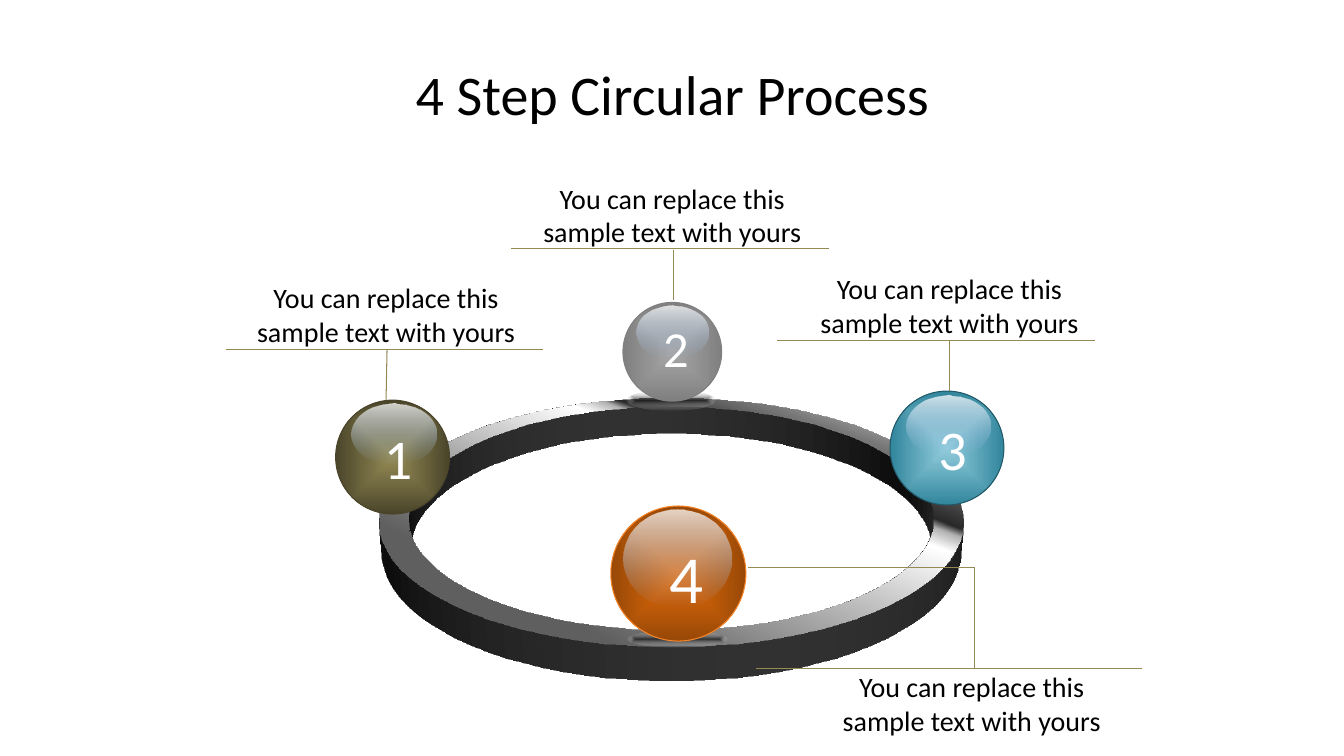
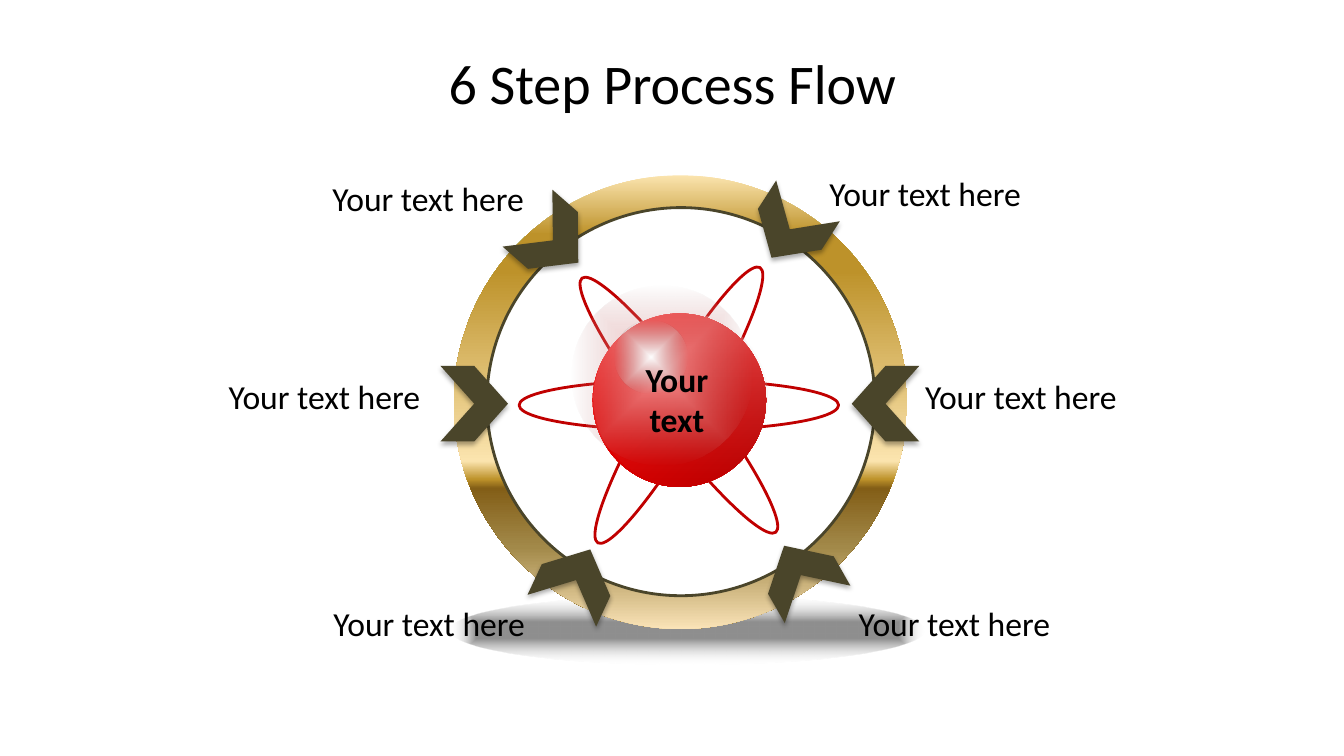
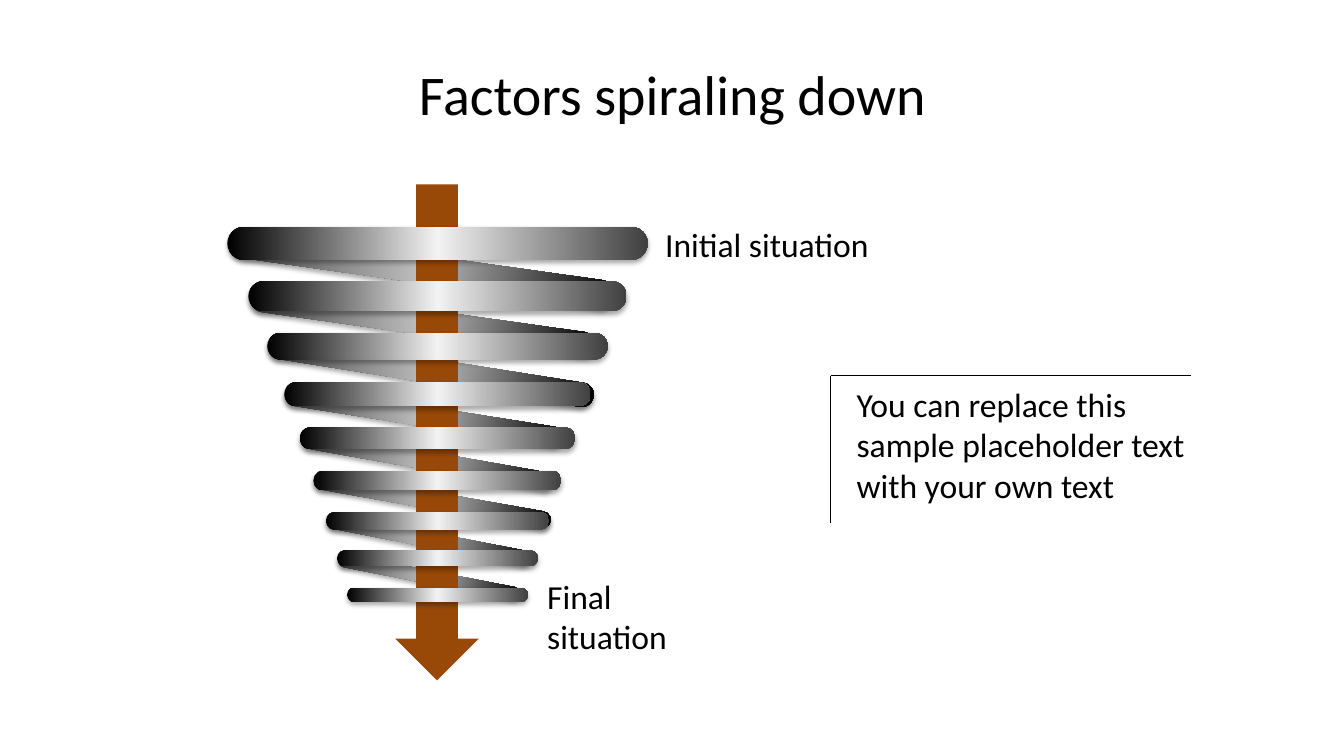
from lxml import etree
from pptx import Presentation
from pptx.dml.color import RGBColor
from pptx.enum.shapes import MSO_CONNECTOR, MSO_SHAPE
from pptx.enum.text import MSO_ANCHOR, PP_ALIGN
from pptx.oxml.ns import qn
from pptx.util import Inches, Pt

DONUT = MSO_SHAPE.DONUT
ELLIPSE = MSO_SHAPE.OVAL
CHEVRON = MSO_SHAPE.CHEVRON
PILL = MSO_SHAPE.ROUNDED_RECTANGLE
DOWN_ARROW = MSO_SHAPE.DOWN_ARROW
STRAIGHT = MSO_CONNECTOR.STRAIGHT
LEFT, CENTER = PP_ALIGN.LEFT, PP_ALIGN.CENTER
TOP, MIDDLE = MSO_ANCHOR.TOP, MSO_ANCHOR.MIDDLE

FONT = "Calibri"
COLORS = {
    "black": "000000", "white": "FFFFFF", "gray": "808080", "tan": "948A54",
    "olive": "4A452A", "silver": "A6A6A6", "aqua": "93CDDD", "teal": "31859C",
    "deep teal": "215968", "orange": "E46C0A", "brown": "984807",
    "orange edge": "F68528", "sky": "8EB4E3", "ink": "171717", "red": "C00000",
    "bright red": "FF0000", "dark red": "B60000", "pink": "FFB3B3",
    "dusty pink": "B68080", "mist": "B6B6B6", "charcoal": "404040",
    "ash": "BFBFBF", "pearl": "F2F2F2",
}
# Gradients: direction in degrees (None runs from the centre outwards),
# then stops of position, colour and opacity, all in percent
STEEL = [(0, "CBCBCB"), (13, "5F5F5F"), (21, "5F5F5F"), (63, "FFFFFF"),
         (67, "B2B2B2"), (69, "292929"), (82, "777777"), (100, "EAEAEA")]
GOLD = [(0, "FBE4AE"), (13, "BD922A"), (21, "BD922A"), (63, "FBE4AE"),
        (67, "BD922A"), (69, "835E17"), (82, "A28949"), (100, "FAE3B7")]
GRADIENTS = {
    "steel": (315, [(pos, color, 100) for pos, color in STEEL]),
    "gold": (90, [(pos, color, 100) for pos, color in GOLD]),
    "gloss": (90, [(0, COLORS["white"], 77), (100, COLORS["sky"], 0)]),
    "contact": (None, [(0, COLORS["ink"], 76), (100, COLORS["white"], 0)]),
    "floor": (None, [(24, COLORS["black"], 44), (100, COLORS["white"], 0)]),
    "olive ball": (None, [(0, COLORS["tan"], 100), (100, COLORS["olive"], 100)]),
    "gray ball": (None, [(0, COLORS["silver"], 100), (100, COLORS["gray"], 100)]),
    "teal ball": (None, [(0, COLORS["aqua"], 100), (100, COLORS["teal"], 100)]),
    "orange ball": (None, [(0, COLORS["orange"], 100), (100, COLORS["brown"], 100)]),
    "core": (45, [(0, COLORS["bright red"], 100), (100, COLORS["dark red"], 100)]),
    "core sheen": (90, [(0, COLORS["white"], 30), (100, COLORS["mist"], 0)]),
    "core halo": (None, [(0, COLORS["pink"], 70), (100, COLORS["dusty pink"], 0)]),
    "core glint": (None, [(0, COLORS["white"], 100), (100, COLORS["mist"], 0)]),
    "back coil": (0, [(0, COLORS["charcoal"], 100), (50, COLORS["ash"], 100),
                      (100, COLORS["black"], 100)]),
    "front coil": (0, [(0, COLORS["black"], 100), (50, COLORS["pearl"], 100),
                       (100, COLORS["charcoal"], 100)]),
}


def paint(shape, fill=None, line=None, width=0.75, shadow=False):
    """Give a shape its fill (plain colour or gradient), outline and shadow."""
    shape.shadow.inherit = False
    properties = shape._element.spPr
    shape.fill.background()
    if fill in COLORS:
        shape.fill.solid()
        shape.fill.fore_color.rgb = RGBColor.from_string(COLORS[fill])
    elif fill:
        angle, stops = GRADIENTS[fill]
        gradient = etree.Element(qn("a:gradFill"), rotWithShape="1")
        stop_list = etree.SubElement(gradient, qn("a:gsLst"))
        for position, color, opacity in stops:
            stop = etree.SubElement(stop_list, qn("a:gs"), pos=str(position * 1000))
            tone = etree.SubElement(stop, qn("a:srgbClr"), val=color)
            if opacity < 100:
                etree.SubElement(tone, qn("a:alpha"), val=str(opacity * 1000))
        if angle is None:
            center = etree.SubElement(gradient, qn("a:path"), path="shape")
            etree.SubElement(center, qn("a:fillToRect"),
                             l="50000", t="50000", r="50000", b="50000")
        else:
            etree.SubElement(gradient, qn("a:lin"), ang=str(angle * 60000), scaled="0")
        properties.replace(properties.find(qn("a:noFill")), gradient)
    if line:
        shape.line.color.rgb = RGBColor.from_string(COLORS[line])
        shape.line.width = Pt(width)
    else:
        shape.line.fill.background()
    if shadow:
        outer = etree.SubElement(properties.find(qn("a:effectLst")), qn("a:outerShdw"),
                                 blurRad=str(Pt(3.5)), dist=str(Pt(2.2)),
                                 dir="5400000", rotWithShape="0")
        tone = etree.SubElement(outer, qn("a:srgbClr"), val=COLORS["black"])
        etree.SubElement(tone, qn("a:alpha"), val="32000")


def write(slide, box, words, size=24, color="black", align=LEFT, anchor=TOP,
          bold=False, wrap=True):
    """Place a text box with one run."""
    frame = slide.shapes.add_textbox(*map(Inches, box)).text_frame
    frame.word_wrap = wrap
    frame.vertical_anchor = anchor
    paragraph = frame.paragraphs[0]
    paragraph.alignment = align
    run = paragraph.add_run()
    run.text = words
    run.font.name = FONT
    run.font.size = Pt(size)
    run.font.bold = bold
    run.font.color.rgb = RGBColor.from_string(COLORS[color])


prs = Presentation()
prs.slide_width, prs.slide_height = Inches(40 / 3), Inches(7.5)

# Slides and titles
slides = []
for title, box in [("4 Step Circular Process", (0.67, 0.3, 12, 1.25)),
                   ("6 Step Process Flow", (2.17, 0.3, 9, 1.03)),
                   ("Factors spiraling down", (0.67, 0.3, 12, 1.25))]:
    slide = prs.slides.add_slide(prs.slide_layouts[6])
    write(slide, box, title, 40, align=CENTER, anchor=MIDDLE)
    slides.append(slide)
circle, flow, spiral = slides

# Circular process: ring tilted back by 65 degrees and given depth
ring = circle.shapes.add_shape(DONUT, *map(Inches, (3.83, 2.13, 5.67, 5.67)))
ring.adjustments[0] = 0.05
paint(ring, "steel")
scene = etree.SubElement(ring._element.spPr, qn("a:scene3d"))
camera = etree.SubElement(scene, qn("a:camera"), prst="perspectiveRelaxed")
etree.SubElement(camera, qn("a:rot"), lat=str(295 * 60000), lon="0", rev="0")
etree.SubElement(scene, qn("a:lightRig"), rig="threePt", dir="t")
etree.SubElement(ring._element.spPr, qn("a:sp3d"), extrusionH=str(Inches(0.33)))

# Contact shadows under balls 2 and 4
for box in [(6.22, 3.88, 0.88, 0.19), (6.23, 6.26, 0.99, 0.16)]:
    paint(circle.shapes.add_shape(ELLIPSE, *map(Inches, box)), "contact")

# Numbered balls: corner, diameter, gloss box, fill, edge, number box, size
balls = [
    (3.33, 3.97, 1.13, (3.49, 4, 0.84, 0.61), "olive ball", "olive",
     (3.71, 4.15, 0.38, 0.77), 40),
    (6.18, 3, 0.98, (6.31, 3.03, 0.72, 0.53), "gray ball", "gray",
     (6.48, 3.1, 0.38, 0.71), 36),
    (8.83, 3.88, 1.13, (8.99, 3.92, 0.84, 0.61), "teal ball", "deep teal",
     (9.21, 4.06, 0.38, 0.77), 40),
    (6.06, 5.02, 1.34, (6.19, 5.06, 1.07, 0.97), "orange ball", "orange edge",
     (6.54, 5.27, 0.38, 0.91), 48),
]
for number, (x, y, d, gloss, fill, edge, box, size) in enumerate(balls, 1):
    paint(circle.shapes.add_shape(ELLIPSE, *map(Inches, (x, y, d, d))), fill, edge)
    paint(circle.shapes.add_shape(ELLIPSE, *map(Inches, gloss)), "gloss")
    write(circle, box, str(number), size, "white", CENTER)

# Callout texts
for x, y, width in [(2.24, 2.87, 3.18), (5.2, 1.88, 2.94),
                    (7.83, 2.78, 3.18), (8.15, 6.73, 2.98)]:
    write(circle, (x, y, width, 0.5), "You can replace this sample text with yours",
          20, align=CENTER, anchor=MIDDLE)

# Process flow: floor shadow and golden ring
for box, fill, line in [((4.47, 5.91, 4.7, 0.68), "floor", None),
                        ((4.5, 1.74, 4.5, 4.5), "gold", None),
                        ((4.83, 2.06, 3.85, 3.85), "white", "olive")]:
    paint(flow.shapes.add_shape(ELLIPSE, *map(Inches, box)), fill, line, 2)

# Orbits
for angle in (0, 52.7, 120.5):
    orbit = flow.shapes.add_shape(ELLIPSE, *map(Inches, (5.15, 3.77, 3.17, 0.5)))
    orbit.rotation = angle
    paint(orbit, line="red", width=2)

# Core
for x, y, d, fill in [(5.88, 3.11, 1.72, "core"), (5.89, 3.09, 1.72, "core sheen"),
                      (5.67, 2.83, 1.79, "core halo"), (6.1, 3.18, 0.72, "core glint")]:
    paint(flow.shapes.add_shape(ELLIPSE, *map(Inches, (x, y, d, d))), fill)
write(flow, (6.09, 3.51, 1.25, 0.91), "Your text", align=CENTER, bold=True)

# Inward chevrons, each with its label: corner, rotation, label corner
for x, y, angle, label_x, label_y in [
        (4.37, 3.63, 0, 2.17, 3.68), (5.15, 2.01, 41.2, 3.2, 1.72),
        (7.5, 1.9, 122.7, 8.13, 1.67), (8.45, 3.63, 180, 9.08, 3.68),
        (7.61, 5.33, 240.3, 8.42, 5.93), (5.38, 5.38, 294.9, 3.21, 5.93)]:
    chevron = flow.shapes.add_shape(CHEVRON, *map(Inches, (x, y, 0.67, 0.75)))
    chevron.rotation = angle
    paint(chevron, "olive", shadow=True)
    write(flow, (label_x, label_y, 2.12, 0.5), "Your text here", wrap=False)

# Spiral: slanted back coils, arrow, then front coils from the bottom up
coils = [
    (2.28, 2.53, 3.83, 0.28, 8, "back coil"), (2.47, 3.07, 3.45, 0.25, 8, "back coil"),
    (2.64, 3.56, 3.27, 0.24, 9, "back coil"), (2.81, 4.03, 2.79, 0.2, 9, "back coil"),
    (2.99, 4.48, 2.51, 0.18, 10, "back coil"), (3.1, 4.88, 2.38, 0.17, 10, "back coil"),
    (3.24, 5.28, 2.04, 0.15, 11, "back coil"), (3.34, 5.66, 1.83, 0.13, 11, "back coil"),
]
back_count = len(coils)
AXIS_X = 4.34
front_coils = []
for i, coil_y in enumerate([2.25, 2.79, 3.3, 3.79, 4.24, 4.67, 5.08, 5.46, 5.83]):
    coil_w, coil_h = 4.17 * 0.9 ** i, 0.33 * 0.9 ** i
    front_coils.append((AXIS_X - coil_w / 2, coil_y, coil_w, coil_h, 0, "front coil"))
coils += reversed(front_coils)
for i, (x, y, width, height, angle, fill) in enumerate(coils):
    if i == back_count:
        arrow = spiral.shapes.add_shape(DOWN_ARROW, *map(Inches, (3.92, 1.83, 0.83, 4.92)))
        paint(arrow, "brown")
    coil = spiral.shapes.add_shape(PILL, *map(Inches, (x, y, width, height)))
    coil.adjustments[0] = 0.5
    coil.rotation = angle
    paint(coil, fill, shadow=True)

# Spiral labels
write(spiral, (6.5, 2.17, 2.24, 0.5), "Initial situation", wrap=False)
write(spiral, (5.33, 5.66, 2.04, 0.5), "Final situation")
write(spiral, (8.4, 3.76, 3.57, 1.31),
      "You can replace this sample placeholder text with your own text")

# Callout lines
for slide, color, lines in [
        (circle, "tan", [(5.07, 2.47, 8.22, 2.47), (6.68, 2.48, 6.68, 2.98),
                         (7.71, 3.38, 10.86, 3.38), (9.42, 3.38, 9.42, 3.88),
                         (2.24, 3.47, 5.39, 3.47), (3.84, 3.47, 3.83, 3.97),
                         (7.5, 6.63, 11.33, 6.63), (7.42, 5.63, 9.67, 5.63),
                         (9.67, 5.63, 9.67, 6.63)]),
        (spiral, "black", [(8.24, 3.73, 8.24, 5.19), (8.24, 3.73, 11.82, 3.73)])]:
    for ends in lines:
        rule = slide.shapes.add_connector(STRAIGHT, *map(Inches, ends))
        rule.line.color.rgb = RGBColor.from_string(COLORS[color])
        rule.line.width = Pt(0.75)
        etree.SubElement(rule._element.spPr, qn("a:effectLst"))

prs.save("out.pptx")
